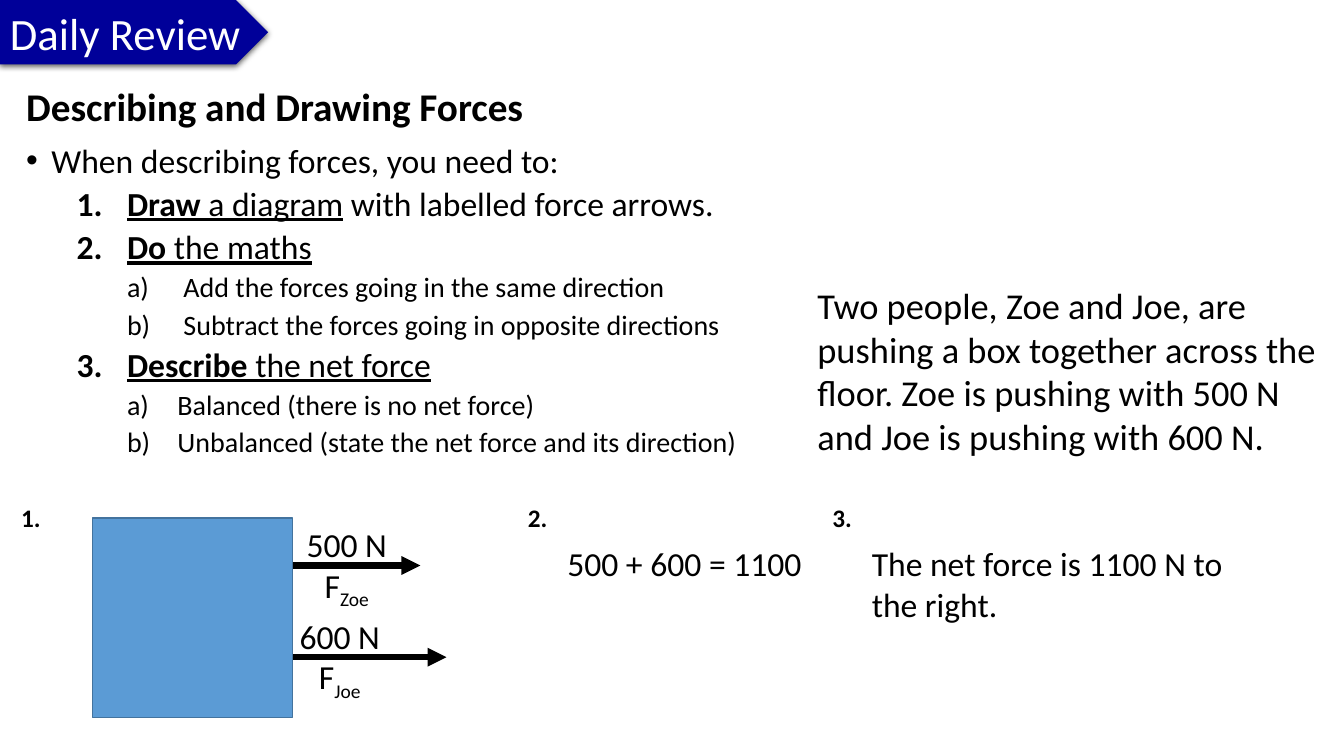
from pptx import Presentation
from pptx import util as u
from pptx.dml import color
from pptx.enum import shapes, text
from pptx.oxml import ns
from lxml import etree

COLORS = {
    "ink": "000000",
    "paper": "FFFFFF",
    "tab": "000099",
    "box": "5B9BD5",
    "box_edge": "43739E",
}


def rgb(name):
    return color.RGBColor.from_string(COLORS[name])


def add_xml(parent, tag, **attributes):
    return etree.SubElement(parent, ns.qn(tag), attributes)


class ReviewSlide:
    font = "Calibri"

    def __init__(self, deck):
        self.width, self.height = deck.slide_width, deck.slide_height
        self.slide = deck.slides.add_slide(deck.slide_layouts[1])
        title = self.slide.shapes.title._element
        title.getparent().remove(title)

    def x(self, percent):
        return round(self.width * percent / 100)

    def y(self, percent):
        return round(self.height * percent / 100)

    def place(self, left, top, width, height):
        return self.x(left), self.y(top), self.x(width), self.y(height)

    def style(self, paragraph, size, ink="ink", bold=None):
        paragraph.font.name = self.font
        paragraph.font.size = u.Pt(size)
        paragraph.font.color.rgb = rgb(ink)
        if bold is not None:
            paragraph.font.bold = bold

    def label(self, area, lines, size, bold=None, wrap=False, centred=False):
        frame = self.slide.shapes.add_textbox(*self.place(*area)).text_frame
        frame.word_wrap = wrap
        for index, (words, subscript) in enumerate(lines):
            paragraph = frame.add_paragraph() if index else frame.paragraphs[0]
            paragraph.add_run().text = words
            if subscript:
                lowered = paragraph.add_run()
                lowered.text = subscript
                lowered._r.get_or_add_rPr().set("baseline", "-25000")
            if centred:
                paragraph.alignment = text.PP_ALIGN.CENTER
            self.style(paragraph, size, bold=bold)

    def block(self, kind, area, fill, edge=None):
        shape = self.slide.shapes.add_shape(kind, *self.place(*area))
        shape.shadow.inherit = False
        shape.fill.solid()
        shape.fill.fore_color.rgb = rgb(fill)
        if edge:
            shape.line.color.rgb = rgb(edge)
            shape.line.width = u.Pt(1)
        else:
            shape.line.fill.background()
        return shape

    def heading_tab(self, area, words):
        tab = self.block(shapes.MSO_SHAPE.PENTAGON, area, "tab")
        effects = tab._element.spPr.find(ns.qn("a:effectLst"))
        shadow = add_xml(effects, "a:outerShdw", blurRad="57150", dist="19050",
                         dir="5400000", algn="ctr", rotWithShape="0")
        shade = add_xml(shadow, "a:srgbClr", val=COLORS["ink"])
        add_xml(shade, "a:alpha", val="63000")
        frame = tab.text_frame
        frame.word_wrap = False
        frame.text = words
        frame.paragraphs[0].alignment = text.PP_ALIGN.LEFT
        self.style(frame.paragraphs[0], 32, "paper")

    def arrow(self, start, end, row):
        line = self.slide.shapes.add_connector(
            shapes.MSO_CONNECTOR.STRAIGHT,
            self.x(start), self.y(row), self.x(end), self.y(row))
        line.line.color.rgb = rgb("ink")
        line.line.width = u.Pt(4.5)
        add_xml(line.line._get_or_add_ln(), "a:tailEnd", type="triangle")
        add_xml(line._element.spPr, "a:effectLst")

    def outline(self, area, items):
        body = self.slide.placeholders[1]
        body.left, body.top, body.width, body.height = self.place(*area)
        frame = body.text_frame
        frame.auto_size = text.MSO_AUTO_SIZE.NONE
        frame.vertical_anchor = text.MSO_ANCHOR.TOP
        for index, (level, bullet, margin, hang, size, runs) in enumerate(items):
            paragraph = frame.add_paragraph() if index else frame.paragraphs[0]
            paragraph.level = level
            paragraph.line_spacing = 0.9
            paragraph.space_before = u.Pt((5 if level else 10) if index else 0)
            self.bullet(paragraph, bullet, margin, hang)
            for words, bold, underline in runs:
                run = paragraph.add_run()
                run.text = words
                run.font.bold = bold
                run.font.underline = underline
            self.style(paragraph, size)

    def bullet(self, paragraph, bullet, margin, hang):
        properties = paragraph._p.get_or_add_pPr()
        properties.set("marL", str(u.Inches(margin)))
        properties.set("indent", str(-u.Inches(hang)))
        if bullet is None:
            add_xml(properties, "a:buNone")
        elif bullet == "•":
            add_xml(properties, "a:buFont", typeface="Arial")
            add_xml(properties, "a:buChar", char=bullet)
        else:
            add_xml(properties, "a:buFont", typeface=self.font)
            add_xml(properties, "a:buAutoNum", type=bullet)


def step(verb, rest, tail=""):
    runs = [(verb, True, True), (rest, False, True)]
    if tail:
        runs.append((tail, False, False))
    return 1, "arabicPeriod", 1, 0.5, 24, runs


def detail(words, hang):
    return 2, "alphaLcParenR", 1 + hang, hang, 20, [(words, False, False)]


def main():
    deck = Presentation()
    deck.slide_width, deck.slide_height = u.Inches(13.33), u.Inches(7.5)
    review = ReviewSlide(deck)

    review.outline((1.2, 10.93, 55.65, 50.67), [
        (0, None, 0, 0, 28, [("Describing and Drawing Forces", True, False)]),
        (0, "•", 0.25, 0.25, 24,
         [("When describing forces, you need to:", False, False)]),
        step("Draw", " a diagram", " with labelled force arrows."),
        step("Do", " the maths"),
        detail("Add the forces going in the same direction", 0.56),
        detail("Subtract the forces going in opposite directions", 0.56),
        step("Describe", " the net force"),
        detail("Balanced (there is no net force)", 0.5),
        detail("Unbalanced (state the net force and its direction)", 0.5),
    ])
    review.heading_tab((0, 0, 19.95, 8.53), "Daily Review")

    question = ("Two people, Zoe and Joe, are pushing a box together across the "
                "floor. Zoe is pushing with 500 N and Joe is pushing with 600 N.")
    review.label((60.08, 36.8, 39.08, 24.67), [(question, "")], 26, wrap=True)

    box_left, box_width = 6.9, 14.85
    for person, force, tip, row, label_left in (
            ("Joe", "600 N", 33.22, 86.93, 21.53),
            ("Zoe", "500 N", 31.28, 74.8, 22.05)):
        review.arrow(box_left + box_width, tip, row)
        review.label((label_left, row - 6.13, 7.5, 12.13),
                     [(force, ""), ("F", person)], 24, centred=True)
    review.block(shapes.MSO_SHAPE.RECTANGLE, (box_left, 68.53, box_width, 26.4),
                 "box", "box_edge")

    for number, left in enumerate((0.83, 38.55, 61.2), 1):
        review.label((left, 65.73, 3, 5.33), [(f"{number}.", "")], 18, bold=True)
    review.label((41.48, 71.2, 19.05, 6.67), [("500 + 600 = 1100", "")], 24)
    review.label((64.13, 71.2, 31.2, 12.13),
                 [("The net force is 1100 N to the right.", "")], 24, wrap=True)

    deck.save("out.pptx")


if __name__ == "__main__":
    main()
